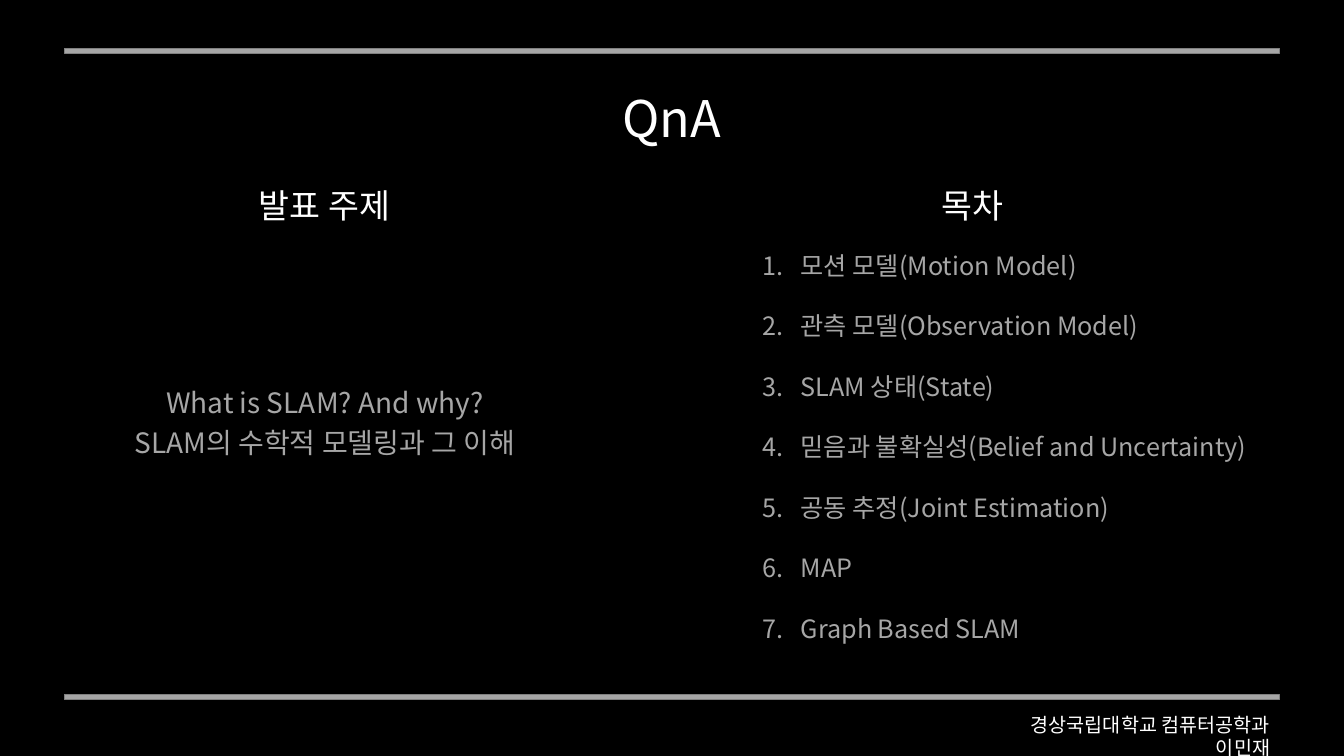
from lxml import etree
from pptx import Presentation
from pptx.dml.color import RGBColor
from pptx.enum.shapes import MSO_SHAPE
from pptx.enum.text import MSO_ANCHOR, MSO_AUTO_SIZE, PP_ALIGN
from pptx.oxml.ns import qn
from pptx.util import Pt

RECTANGLE = MSO_SHAPE.RECTANGLE
TOP = MSO_ANCHOR.TOP
NO_AUTOFIT = MSO_AUTO_SIZE.NONE
LEFT, CENTER, RIGHT = PP_ALIGN.LEFT, PP_ALIGN.CENTER, PP_ALIGN.RIGHT

COLORS = {"background": "000000", "heading": "FFFFFF",
          "muted": "A6A6A6", "rule_edge": "808080"}
FONT = "Noto Sans CJK KR"

TITLE = "QnA"
HEADINGS = [("발표 주제", (172.8, 128.9, 118, 36)), ("목차", (648, 128.9, 93.6, 36))]
TOPIC = ["What is SLAM? And why?", "SLAM의 수학적 모델링과 그 이해"]
AGENDA = [
    "모션 모델(Motion Model)",
    "관측 모델(Observation Model)",
    "SLAM 상태(State)",
    "믿음과 불확실성(Belief and Uncertainty)",
    "공동 추정(Joint Estimation)",
    "MAP",
    "Graph Based SLAM",
]
AFFILIATION = "경상국립대학교 컴퓨터공학과 이민재"

RULE_LEFT, RULE_WIDTH, RULE_HEIGHT = 46, 868, 3.6
RULE_TOPS = [34.6, 496.1]
AGENDA_SIZE, AGENDA_INDENT, AGENDA_GAP = 18, 27, 21.6


def color(key):
    return RGBColor.from_string(COLORS[key])


def place(shape, box):
    shape.left, shape.top, shape.width, shape.height = map(Pt, box)


def write(shape, lines, size, color_key, align, spacing=1.0):
    frame = shape.text_frame
    frame.text = "\n".join(lines)
    frame.word_wrap = True
    frame.auto_size = NO_AUTOFIT
    frame.vertical_anchor = TOP
    for paragraph in frame.paragraphs:
        paragraph.alignment = align
        paragraph.line_spacing = spacing
        paragraph.space_before = Pt(0)
        paragraph.font.name = FONT
        paragraph.font.size = Pt(size)
        paragraph.font.color.rgb = color(color_key)


def add_text(slide, box, lines, size, color_key, align, spacing=1.0):
    textbox = slide.shapes.add_textbox(*map(Pt, box))
    write(textbox, lines, size, color_key, align, spacing)


def number(paragraph):
    properties = paragraph._p.get_or_add_pPr()
    properties.set("marL", str(Pt(AGENDA_INDENT)))
    properties.set("indent", str(-Pt(AGENDA_INDENT)))
    bullet = etree.Element(qn("a:buAutoNum"), type="arabicPeriod")
    properties.find(qn("a:defRPr")).addprevious(bullet)


def main():
    deck = Presentation()
    deck.slide_width, deck.slide_height = Pt(960), Pt(540)
    slide = deck.slides.add_slide(deck.slide_layouts[1])
    slide.background.fill.solid()
    slide.background.fill.fore_color.rgb = color("background")

    for top in RULE_TOPS:
        rule = slide.shapes.add_shape(
            RECTANGLE, *map(Pt, (RULE_LEFT, top, RULE_WIDTH, RULE_HEIGHT)))
        rule.shadow.inherit = False
        rule.fill.solid()
        rule.fill.fore_color.rgb = color("muted")
        rule.line.color.rgb = color("rule_edge")
        rule.line.width = Pt(1)

    title, agenda = slide.placeholders
    place(title, (433.4, 58.3, 93, 51))
    write(title, [TITLE], 36, "heading", CENTER)

    for heading, box in HEADINGS:
        add_text(slide, box, [heading], 24, "heading", CENTER)
    add_text(slide, (46, 267.1, 372.2, 63.4), TOPIC, 20, "muted", CENTER, 1.2)

    place(agenda, (537.8, 175, 406.8, 334))
    write(agenda, AGENDA, AGENDA_SIZE, "muted", LEFT)
    for item in agenda.text_frame.paragraphs:
        item.space_after = Pt(AGENDA_GAP)
        number(item)

    add_text(slide, (691.9, 505.4, 222.5, 24.5), [AFFILIATION], 14, "heading", RIGHT)
    deck.save("out.pptx")


if __name__ == "__main__":
    main()
